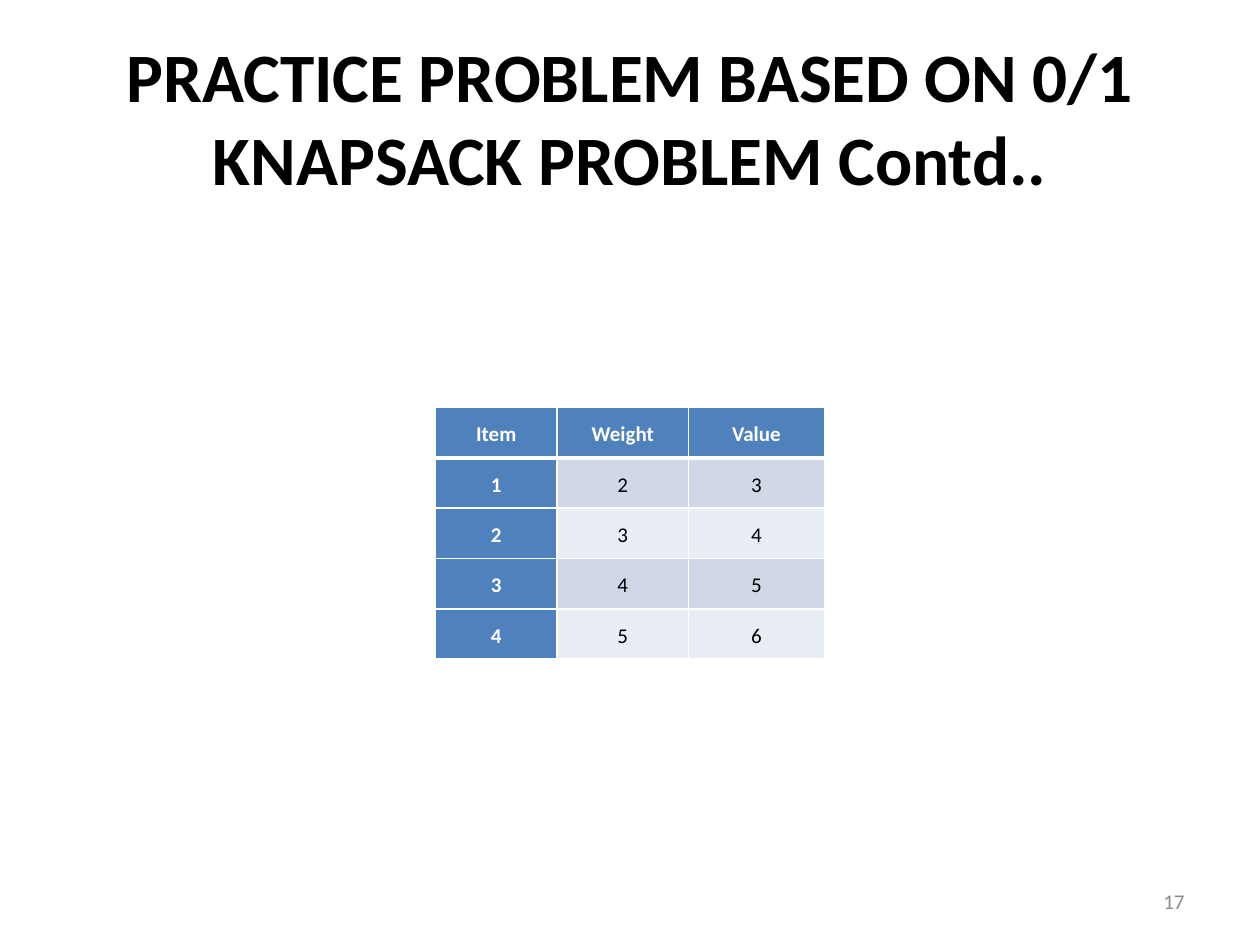
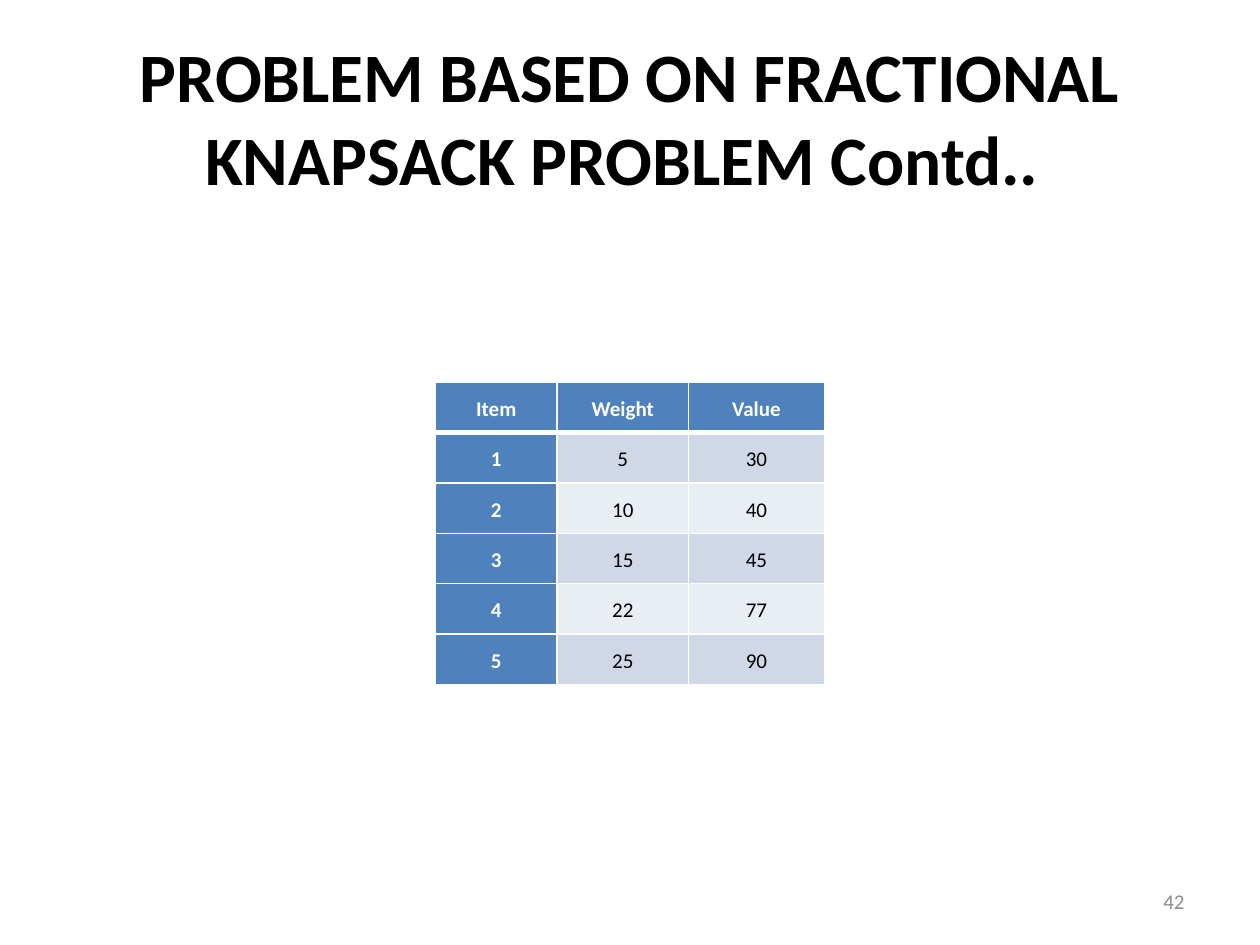
from lxml import etree
from pptx import Presentation
from pptx import util as u
from pptx.dml.color import RGBColor
from pptx.enum import text
from pptx.oxml.ns import qn

Pt = u.Pt
SLIDE_W, SLIDE_H = 720, 540
TABLE_MIDDLE = 304.8
ROW_H = 28.75
COLUMN_WIDTHS = (69.7, 75, 77.8)
HEADER = ("Item", "Weight", "Value")


class Deck:
    font = "Calibri"
    colors = {
        "ink": "000000",
        "white": "FFFFFF",
        "header": "4F81BD",
        "band_dark": "D0D8E8",
        "band_light": "E9EDF4",
        "number": "8C8C8C",
    }

    def __init__(self):
        self.prs = Presentation()
        self.prs.slide_width, self.prs.slide_height = Pt(SLIDE_W), Pt(SLIDE_H)
        self.slide = None

    def color(self, name):
        return RGBColor.from_string(self.colors[name])

    def add_slide(self):
        self.slide = self.prs.slides.add_slide(self.prs.slide_layouts[6])
        fill = self.slide.background.fill
        fill.solid()
        fill.fore_color.rgb = self.color("white")

    def add_text(self, tf, content, size, color, bold=False,
                 align=text.PP_ALIGN.CENTER):
        p = tf.paragraphs[0]
        p.alignment = align
        r = p.add_run()
        r.text = content
        r.font.name, r.font.size, r.font.bold = self.font, Pt(size), bold
        r.font.color.rgb = self.color(color)
        return p

    def text_box(self, box, content, size, color, **style):
        tf = self.slide.shapes.add_textbox(*map(Pt, box)).text_frame
        tf.word_wrap = True
        tf.vertical_anchor = text.MSO_ANCHOR.MIDDLE
        self.add_text(tf, content, size, color, **style)

    def title(self, content):
        self.text_box((36, 21.6, 648, 90), content, 39.6, "ink", bold=True)

    def page_number(self, number):
        self.text_box((516, 500.5, 168, 28.75), str(number), 12, "number",
                      align=text.PP_ALIGN.RIGHT)

    def borders(self, cell, top, bottom):
        """Draw white cell edges; top and bottom are widths in points."""
        tc_pr = cell._tc.get_or_add_tcPr()
        for side, width in (("L", 1), ("R", 1), ("T", top), ("B", bottom)):
            ln = etree.SubElement(tc_pr, qn(f"a:ln{side}"), w=str(Pt(width)))
            solid = etree.SubElement(ln, qn("a:solidFill"))
            etree.SubElement(solid, qn("a:srgbClr"), val=self.colors["white"])

    def cell(self, cell, content, row, col):
        is_heading = row == 0 or col == 0
        band = "band_dark" if row % 2 else "band_light"
        self.borders(cell, top=3 if row == 1 else 1, bottom=3 if row == 0 else 1)
        cell.fill.solid()
        cell.fill.fore_color.rgb = self.color("header" if is_heading else band)
        cell.vertical_anchor = text.MSO_ANCHOR.MIDDLE
        cell.margin_left = cell.margin_right = Pt(7.2)
        cell.margin_top = cell.margin_bottom = Pt(5.7)
        p = self.add_text(cell.text_frame, str(content), 12,
                          "white" if is_heading else "ink", bold=is_heading)
        p.line_spacing = 1.15

    def item_table(self, items):
        """Centre a table of numbered (weight, value) items on the slide."""
        rows = [HEADER] + [(n, *item) for n, item in enumerate(items, 1)]
        width, height = sum(COLUMN_WIDTHS), ROW_H * len(rows)
        box = ((SLIDE_W - width) / 2, TABLE_MIDDLE - height / 2, width, height)
        table = self.slide.shapes.add_table(
            len(rows), len(HEADER), *map(Pt, box)).table
        table.first_col = True
        for column, column_width in zip(table.columns, COLUMN_WIDTHS):
            column.width = Pt(column_width)
        for r, values in enumerate(rows):
            table.rows[r].height = Pt(ROW_H)
            for c, value in enumerate(values):
                self.cell(table.cell(r, c), value, r, c)


PROBLEMS = (
    ("PRACTICE PROBLEM BASED ON 0/1 KNAPSACK PROBLEM Contd..",
     ((2, 3), (3, 4), (4, 5), (5, 6)), 17),
    ("PROBLEM BASED ON FRACTIONAL KNAPSACK PROBLEM Contd.. ",
     ((5, 30), (10, 40), (15, 45), (22, 77), (25, 90)), 42),
)


def main():
    deck = Deck()
    for title, items, number in PROBLEMS:
        deck.add_slide()
        deck.title(title)
        deck.item_table(items)
        deck.page_number(number)
    deck.prs.save("out.pptx")


if __name__ == "__main__":
    main()
